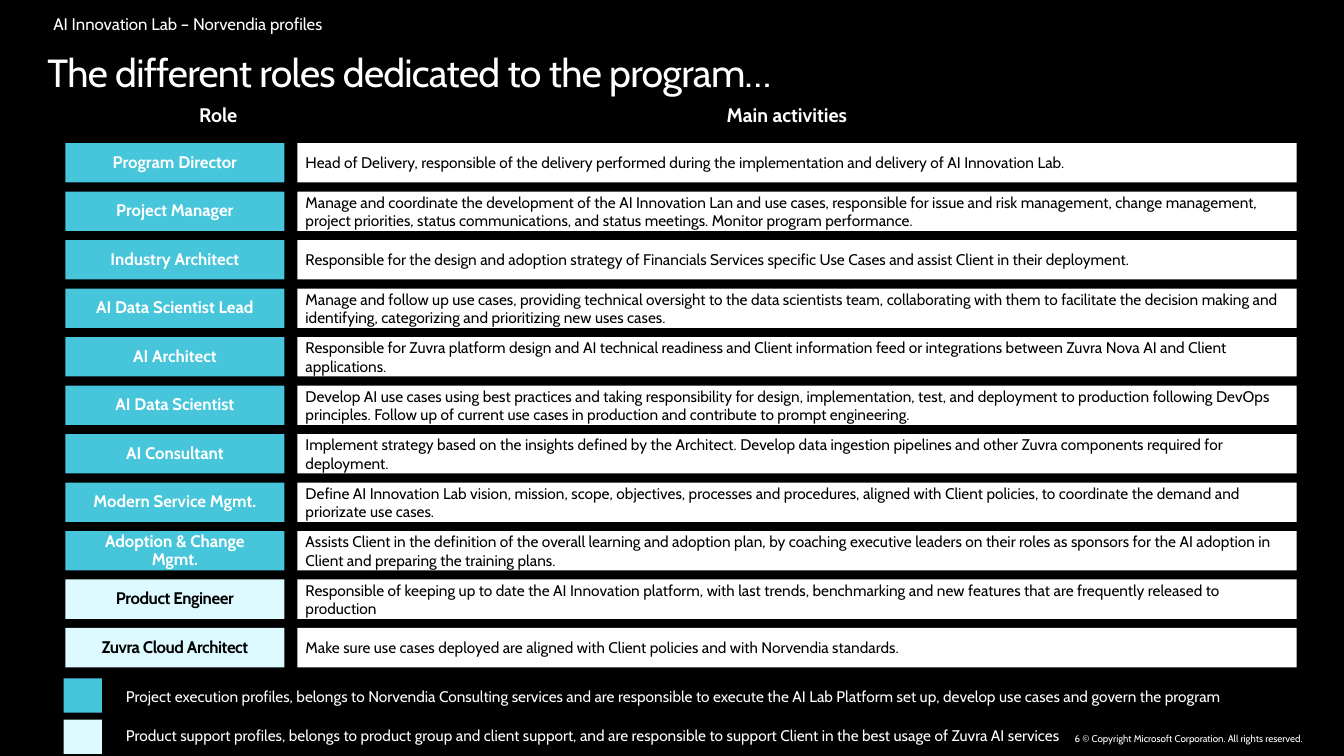
from pptx import Presentation
from pptx import util as u
from pptx.dml.color import RGBColor
from pptx.enum import shapes, text

Inches = u.Inches
WHITE, BLACK, TEAL, PALE = "FFFFFF", "000000", "46C5DB", "DCFAFF"


def paint(fill, color):
    fill.solid()
    fill.fore_color.rgb = RGBColor.from_string(color)


def write(sp, words, size=11, color=WHITE, bold=False, align="LEFT", anchor="MIDDLE",
          inset=(0.08, 0.16), spacing=None, tracking=None, wrap=True):
    tf = sp.text_frame
    tf.word_wrap = wrap
    tf.auto_size = text.MSO_AUTO_SIZE.NONE
    tf.vertical_anchor = text.MSO_ANCHOR[anchor]
    tf.margin_left = tf.margin_right = Inches(inset[0])
    tf.margin_top = tf.margin_bottom = Inches(inset[1])
    p = tf.paragraphs[0]
    p.alignment = text.PP_ALIGN[align]
    if spacing:
        p.line_spacing = spacing
    r = p.add_run()
    r.text = words
    r.font.name = "Cabin"
    r.font.size = u.Pt(size)
    r.font.bold = bold
    paint(r.font.fill, color)
    if tracking:
        r.font._element.set("spc", str(tracking))


roles = [
    ("Program Director", "Head of Delivery, responsible of the delivery performed during the implementation and delivery of AI Innovation Lab."),
    ("Project Manager", "Manage and coordinate the development of the AI Innovation Lan and use cases, responsible for issue and risk management, change management, project priorities, status communications, and status meetings. Monitor program performance."),
    ("Industry Architect", "Responsible for the design and adoption strategy of Financials Services specific Use Cases and assist Client in their deployment."),
    ("AI Data Scientist Lead", "Manage and follow up use cases, providing technical oversight to the data scientists team, collaborating with them to facilitate the decision making and identifying, categorizing and prioritizing new uses cases."),
    ("AI Architect", "Responsible for Zuvra platform design and AI technical readiness and Client information feed or integrations between Zuvra Nova AI and Client applications."),
    ("AI Data Scientist", "Develop AI use cases using best practices and taking responsibility for design, implementation, test, and deployment to production following DevOps principles. Follow up of current use cases in production and contribute to prompt engineering."),
    ("AI Consultant", "Implement strategy based on the insights defined by the Architect. Develop data ingestion pipelines and other Zuvra components required for deployment."),
    ("Modern Service Mgmt.", "Define AI Innovation Lab vision, mission, scope, objectives, processes and procedures, aligned with Client policies, to coordinate the demand and priorizate use cases."),
    ("Adoption & Change Mgmt.", "Assists Client in the definition of the overall learning and adoption plan, by coaching executive leaders on their roles as sponsors for the AI adoption in Client and preparing the training plans."),
    ("Product Engineer", "Responsible of keeping up to date the AI Innovation platform, with last trends, benchmarking and new features that are frequently released to production"),
    ("Zuvra Cloud Architect", "Make sure use cases deployed are aligned with Client policies and with Norvendia standards."),
]
support_roles = ("Product Engineer", "Zuvra Cloud Architect")
legend = [
    (6.73, 6.71, 12, TEAL, "Project execution profiles, belongs to Norvendia Consulting services and are responsible to execute the AI Lab Platform set up, develop use cases and govern the program"),
    (7.14, 7.1, 11.53, PALE, "Product support profiles, belongs to product group and client support, and are responsible to support Client in the best usage of Zuvra AI services"),
]

prs = Presentation()
prs.slide_width, prs.slide_height = Inches(13.33), Inches(7.5)
s = prs.slides.add_slide(prs.slide_layouts[5])
paint(s.background.fill, BLACK)

title = s.shapes.title
title.left, title.top, title.width, title.height = map(Inches, (0.47, 0.48, 12.4, 0.48))
write(title, "The different roles dedicated to the program…", size=28, anchor="TOP",
      inset=(0, 0), tracking=-50)

labels = [
    ((0.53, 0.16, 4.07, 0.18), "AI Innovation Lab – Norvendia profiles",
     dict(size=12, anchor="TOP", inset=(0, 0), spacing=0.9)),
    ((1.08, 0.94, 2.17, 0.39), "Role",
     dict(size=14, bold=True, align="CENTER", inset=(0.2, 0.16))),
    ((3.39, 0.94, 8.83, 0.39), "Main activities",
     dict(size=14, bold=True, align="CENTER")),
    ((10.66, 7.27, 4.9, 0.12), "6 © Copyright Microsoft Corporation. All rights reserved.",
     dict(size=7, anchor="BOTTOM", inset=(0, 0), wrap=False)),
]
for box, words, style in labels:
    write(s.shapes.add_textbox(*map(Inches, box)), words, **style)

blocks = []
for i, (role, activity) in enumerate(roles):
    top = 1.42 + 0.481 * i
    support = role in support_roles
    role_style = dict(size=12, color=BLACK if support else WHITE, bold=True, align="CENTER",
                      inset=(0.2, 0.16), spacing=0.9, tracking=-30 if support else None)
    blocks.append(((0.65, top, 2.17, 0.39), PALE if support else TEAL, role, role_style))
    blocks.append(((2.95, top, 9.91, 0.39), WHITE, activity, dict(color=BLACK)))
for key_top, text_top, width, color, words in legend:
    blocks.append(((0.63, key_top, 0.38, 0.34), color, None, {}))
    write(s.shapes.add_textbox(*map(Inches, (1.17, text_top, width, 0.39))), words)

for box, color, words, style in blocks:
    sp = s.shapes.add_shape(shapes.MSO_SHAPE.RECTANGLE, *map(Inches, box))
    sp.shadow.inherit = False
    paint(sp.fill, color)
    sp.line.fill.background()
    if words:
        write(sp, words, **style)

prs.save("out.pptx")
